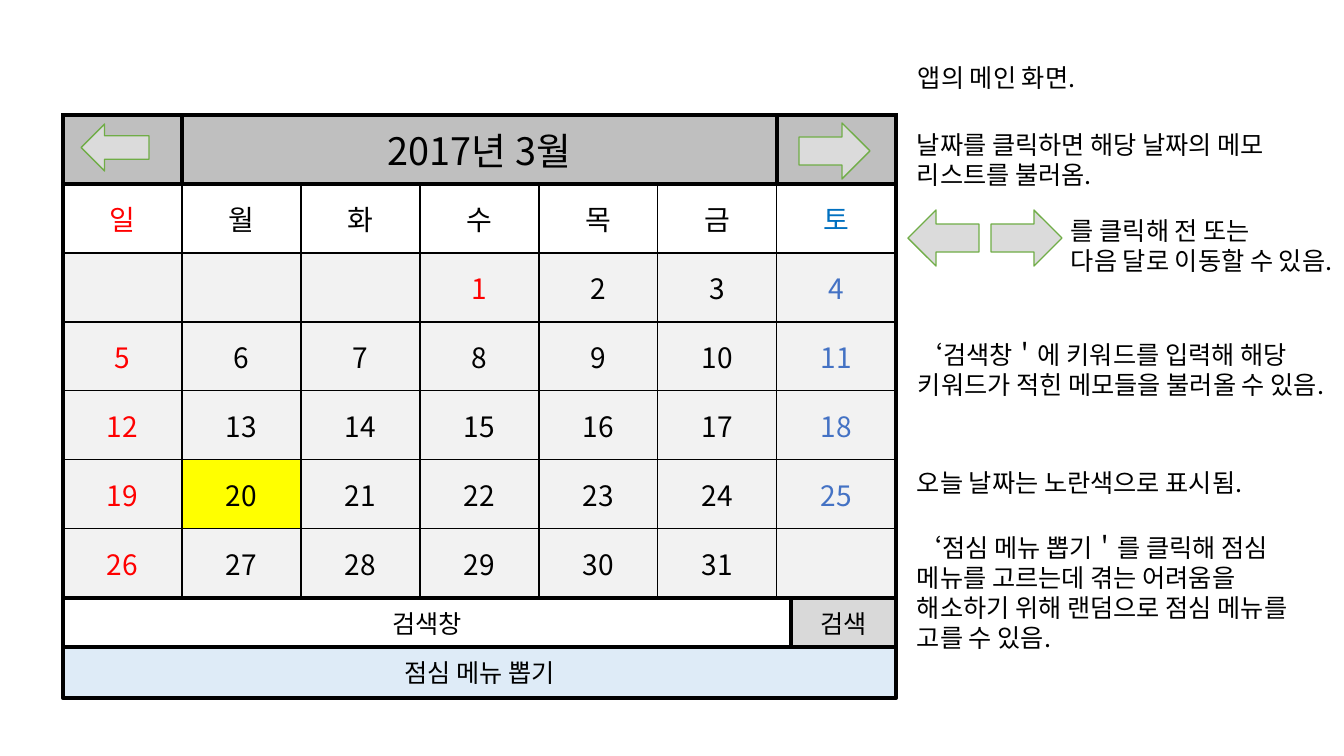
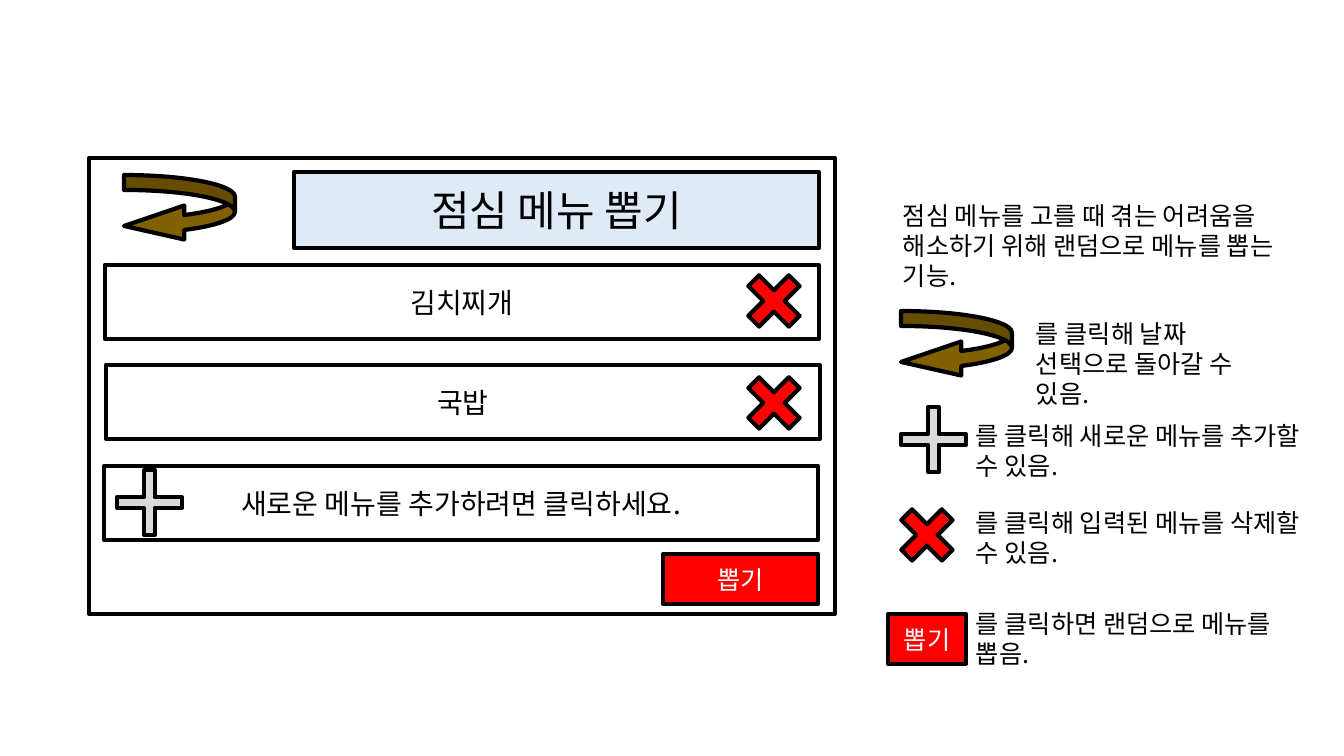
from dataclasses import dataclass
from typing import Optional

from lxml import etree
from pptx import Presentation
from pptx.dml.color import RGBColor
from pptx.enum.shapes import MSO_SHAPE
from pptx.enum.text import MSO_ANCHOR, MSO_AUTO_SIZE, PP_ALIGN
from pptx.oxml.ns import qn
from pptx.util import Pt

SCALE = 914400 / 100.8
FONT = "Noto Sans CJK KR"
BODY = 18
THIN, THICK = 1, 3
COLORS = {
    "black": "000000", "white": "FFFFFF", "red": "FF0000", "yellow": "FFFF00",
    "header": "BFBFBF", "day": "F2F2F2", "button": "D9D9D9", "arrow": "DBDBDB",
    "green": "70AD47", "pale": "DEEBF7", "sat_head": "0070C0",
    "sat": "4472C4", "brown": "806000",
}
RECT, RIGHT_ARROW = MSO_SHAPE.RECTANGLE, MSO_SHAPE.RIGHT_ARROW
CURVED, PLUS, CROSS = MSO_SHAPE.CURVED_LEFT_ARROW, MSO_SHAPE.CROSS, MSO_SHAPE.MATH_MULTIPLY
CENTER, LEFT = PP_ALIGN.CENTER, PP_ALIGN.LEFT
MIDDLE, GROW = MSO_ANCHOR.MIDDLE, MSO_AUTO_SIZE.SHAPE_TO_FIT_TEXT

WEEKDAYS = "일월화수목금토"
FIRST_COLUMN, LAST_DAY, TODAY, HOLIDAYS = 3, 31, 20, (1,)
CELL_W, CELL_H, COLS, ROWS = 119, 69, 7, 7
CAL_X, CAL_Y = 63, 115
CAL_W = CELL_W * COLS


@dataclass(frozen=True)
class Note:
    """Explanatory text; height follows from its number of lines."""
    x: int
    y: int
    w: int
    lines: int
    text: str


@dataclass(frozen=True)
class Look:
    """Geometry and paint of a kind of shape."""
    geometry: int
    fill: str
    line: str = "black"
    width: int = THICK
    adjust: tuple[float, ...] = ()
    color: str = "black"


@dataclass(frozen=True)
class Box:
    """A placed shape, with an optional label."""
    look: Look
    x: int
    y: int
    w: int
    h: int
    text: Optional[str] = None
    size: int = BODY
    turn: int = 0


PANEL = Look(RECT, "white")
PALE = Look(RECT, "pale")
BUTTON = Look(RECT, "button")
DRAW = Look(RECT, "red", color="white")
ARROW = Look(RIGHT_ARROW, "arrow", "green", THIN)
BACK = Look(CURVED, "brown", adjust=(0.22, 0.5, 0.886))
ADD = Look(PLUS, "button", adjust=(0.418,))
DELETE = Look(CROSS, "red", adjust=(0.195,))


def px(n: float) -> int:
    """Turn pixels into EMU."""
    return round(n * SCALE)


def rgb(name: str) -> RGBColor:
    """Look up a named colour."""
    return RGBColor.from_string(COLORS[name])


def write(tf, text: str, size: int, color: str, align) -> None:
    """Set text and format every run, for Latin and Korean alike."""
    tf.text = text
    for p in tf.paragraphs:
        p.alignment = align
        for r in p.runs:
            r.font.size = Pt(size)
            r.font.color.rgb = rgb(color)
            r.font.name = FONT
            etree.SubElement(r._r.get_or_add_rPr(), qn("a:ea"), typeface=FONT)


def draw_note(s, note: Note) -> None:
    """Draw a wrapped text box."""
    sp = s.shapes.add_textbox(px(note.x), px(note.y), px(note.w), px(10 + 30.5 * note.lines))
    tf = sp.text_frame
    tf.word_wrap = True
    tf.auto_size = GROW
    write(tf, note.text, BODY, "black", LEFT)


def draw_box(s, box: Box) -> None:
    """Draw a preset shape and its label."""
    look = box.look
    sp = s.shapes.add_shape(look.geometry, px(box.x), px(box.y), px(box.w), px(box.h))
    sp.shadow.inherit = False
    sp.rotation = box.turn
    for i, value in enumerate(look.adjust):
        sp.adjustments[i] = value
    sp.fill.solid()
    sp.fill.fore_color.rgb = rgb(look.fill)
    sp.line.color.rgb = rgb(look.line)
    sp.line.width = Pt(look.width)
    if box.text:
        sp.text_frame.word_wrap = True
        sp.text_frame.vertical_anchor = MIDDLE
        write(sp.text_frame, box.text, box.size, look.color, CENTER)


def set_borders(cell, widths: dict[str, int]) -> None:
    """Give a cell black borders, ahead of its fill in the XML."""
    tc_pr = cell._tc.get_or_add_tcPr()
    for i, (side, width) in enumerate(widths.items()):
        ln = etree.Element(qn(f"a:ln{side}"), w=str(Pt(width)))
        fill = etree.SubElement(ln, qn("a:solidFill"))
        etree.SubElement(fill, qn("a:srgbClr"), val=COLORS["black"])
        tc_pr.insert(i, ln)


def cell_content(row: int, col: int) -> tuple[str, str, str]:
    """Return text, text colour and fill of a calendar cell."""
    if row == 0:
        return ("2017년 3월" if col == 1 else ""), "black", "header"
    if row == 1:
        return WEEKDAYS[col], {0: "red", 6: "sat_head"}.get(col, "black"), "white"
    day = (row - 2) * COLS + col - FIRST_COLUMN + 1
    text = str(day) if 1 <= day <= LAST_DAY else ""
    color = "red" if day in HOLIDAYS else {0: "red", 6: "sat"}.get(col, "black")
    return text, color, "yellow" if day == TODAY else "day"


def draw_calendar(s) -> None:
    """Draw the month as a table."""
    table = s.shapes.add_table(ROWS, COLS, px(CAL_X), px(CAL_Y),
                               px(CAL_W), px(CELL_H * ROWS)).table
    for column in table.columns:
        column.width = px(CELL_W)
    for row, table_row in enumerate(table.rows):
        table_row.height = px(CELL_H)
        for col in range(COLS):
            cell = table.cell(row, col)
            text, color, fill = cell_content(row, col)
            cell.fill.solid()
            cell.fill.fore_color.rgb = rgb(fill)
            cell.margin_left = cell.margin_right = px(7)
            cell.margin_top = cell.margin_bottom = px(3)
            cell.vertical_anchor = MIDDLE
            if text:
                write(cell.text_frame, text, 20 if row else 27, color, CENTER)
            thick = {"L": row == 0 or col == 0, "R": row == 0 or col == COLS - 1,
                     "T": row <= 1, "B": row in (0, ROWS - 1)}
            set_borders(cell, {side: THICK if on else THIN for side, on in thick.items()})
    table.cell(0, 1).merge(table.cell(0, 5))


MAIN_BOXES = [
    Box(ARROW, 799, 123, 71, 56),
    Box(ARROW, 81, 124, 68, 47, turn=180),
    Box(ARROW, 991, 210, 71, 56),
    Box(ARROW, 908, 210, 71, 56, turn=180),
    Box(PANEL, CAL_X, 598, 728, 51, "검색창"),
    Box(BUTTON, 791, 598, 105, 51, "검색"),
    Box(PALE, CAL_X, 647, CAL_W, 51, "점심 메뉴 뽑기"),
]
MAIN_NOTES = [
    Note(908, 57, 390, 1, "앱의 메인 화면."),
    Note(907, 124, 423, 2, "날짜를 클릭하면 해당 날짜의 메모 리스트를 불러옴."),
    Note(1061, 210, 282, 3, "를 클릭해 전 또는\n다음 달로 이동할 수 있음."),
    Note(908, 334, 422, 3, "‘검색창＇에 키워드를 입력해 해당 키워드가 적힌 메모들을 불러올 수 있음."),
    Note(907, 462, 410, 1, "오늘 날짜는 노란색으로 표시됨."),
    Note(907, 527, 410, 4, "‘점심 메뉴 뽑기＇를 클릭해 점심 메뉴를 고르는데 겪는 어려움을 "
                           "해소하기 위해 랜덤으로 점심 메뉴를 고를 수 있음."),
]
LUNCH_BOXES = [
    Box(PANEL, 89, 158, 746, 456),
    Box(PANEL, 105, 265, 714, 74, "김치찌개", 20),
    Box(PANEL, 106, 365, 714, 74, "국밥", 20),
    Box(PALE, 294, 172, 525, 76, "점심 메뉴 뽑기", 30),
    Box(PANEL, 104, 466, 714, 74, "새로운 메뉴를 추가하려면 클릭하세요.", 20),
    Box(DRAW, 663, 554, 155, 50, "뽑기"),
    Box(DRAW, 888, 614, 78, 50, "뽑기"),
    *(Box(BACK, x, y, 111, 68) for x, y in ((124, 175), (901, 311))),
    *(Box(ADD, x, y, 65, 65) for x, y in ((117, 470), (901, 407))),
    *(Box(DELETE, x, y, 78, 78) for x, y in ((735, 262), (735, 364), (888, 496))),
]
LUNCH_NOTES = [
    Note(893, 195, 402, 3, "점심 메뉴를 고를 때 겪는 어려움을 해소하기 위해 랜덤으로 메뉴를 뽑는 기능."),
    Note(1026, 313, 254, 2, "를 클릭해 날짜 선택으로 돌아갈 수 있음."),
    Note(966, 415, 366, 2, "를 클릭해 새로운 메뉴를 추가할 수 있음."),
    Note(966, 502, 366, 2, "를 클릭해 입력된 메뉴를 삭제할 수 있음."),
    Note(966, 603, 366, 2, "를 클릭하면 랜덤으로 메뉴를 뽑음."),
]


def add_slide(prs, boxes: list[Box], notes: list[Note], calendar: bool = False) -> None:
    """Add a blank slide and draw its mock screen and notes."""
    s = prs.slides.add_slide(prs.slide_layouts[6])
    if calendar:
        draw_calendar(s)
    for box in boxes:
        draw_box(s, box)
    for note in notes:
        draw_note(s, note)


def main() -> None:
    """Build and save the deck."""
    prs = Presentation()
    prs.slide_width, prs.slide_height = px(1344), px(756)
    add_slide(prs, MAIN_BOXES, MAIN_NOTES, calendar=True)
    add_slide(prs, LUNCH_BOXES, LUNCH_NOTES)
    prs.save("out.pptx")


main()
